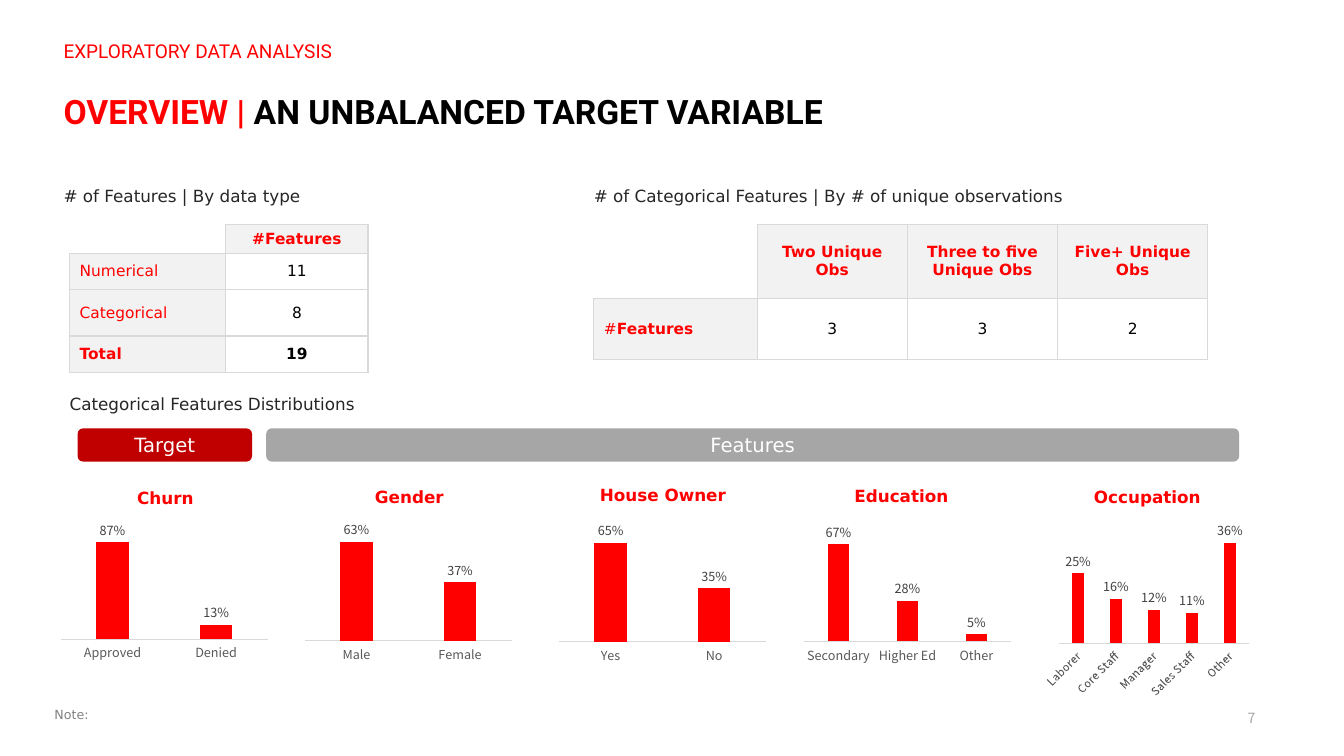
from dataclasses import dataclass

from lxml import etree
from pptx import Presentation
from pptx.chart.data import CategoryChartData
from pptx.dml.color import RGBColor
from pptx.enum.chart import XL_CHART_TYPE, XL_LABEL_POSITION, XL_TICK_LABEL_POSITION, XL_TICK_MARK
from pptx.enum.shapes import MSO_SHAPE
from pptx.enum.text import MSO_ANCHOR, PP_ALIGN
from pptx.oxml import parse_xml
from pptx.oxml.ns import nsdecls, qn
from pptx.util import Inches, Pt

LEFT, CENTER, RIGHT = PP_ALIGN.LEFT, PP_ALIGN.CENTER, PP_ALIGN.RIGHT
TOP, MIDDLE, BOTTOM = MSO_ANCHOR.TOP, MSO_ANCHOR.MIDDLE, MSO_ANCHOR.BOTTOM
COLUMNS = XL_CHART_TYPE.COLUMN_CLUSTERED
OUTSIDE_END = XL_LABEL_POSITION.OUTSIDE_END
NO_TICKS = XL_TICK_MARK.NONE
NEXT_TO_AXIS = XL_TICK_LABEL_POSITION.NEXT_TO_AXIS
ROUNDED = MSO_SHAPE.ROUNDED_RECTANGLE


@dataclass(frozen=True)
class Theme:
    red: str = "FF0000"
    dark_red: str = "C00000"
    black: str = "000000"
    white: str = "FFFFFF"
    ink: str = "262626"
    label: str = "404040"
    axis: str = "595959"
    note: str = "808080"
    gray: str = "A6A6A6"
    rule: str = "D9D9D9"
    shade: str = "F2F2F2"
    heading_font: str = "Roboto"
    body_font: str = "DejaVu Sans"
    chart_font: str = "Noto Sans CJK JP"
    title: float = 24
    section: float = 13.6
    banner: float = 14
    caption: float = 12
    table: float = 11
    page: float = 10
    small: float = 9
    tiny: float = 8


theme = Theme()


def write(frame, text, size=theme.caption, color=theme.ink, font=theme.body_font, bold=False,
          align=LEFT, anchor=TOP, spacing=None, insets=None):
    frame.word_wrap = True
    frame.vertical_anchor = anchor
    if insets:
        frame.margin_left, frame.margin_top, frame.margin_right, frame.margin_bottom = map(Inches, insets)
    paragraph = frame.paragraphs[0]
    paragraph.alignment = align
    if spacing:
        paragraph.line_spacing = spacing
    run = paragraph.add_run()
    run.text = text
    run.font.size = Pt(size)
    run.font.name = font
    run.font.bold = bold
    run.font.color.rgb = RGBColor.from_string(color)


def style_cell(cell, fill, edges):
    properties = cell._tc.get_or_add_tcPr()
    for edge in edges:
        properties.append(parse_xml(
            f'<a:{edge} {nsdecls("a")} w="12700"><a:solidFill><a:srgbClr val="{theme.rule}"/>'
            f'</a:solidFill></a:{edge}>'))
    if fill:
        cell.fill.solid()
        cell.fill.fore_color.rgb = RGBColor.from_string(fill)
    else:
        cell.fill.background()


deck = Presentation()
deck.slide_width, deck.slide_height = Inches(13.33), Inches(7.5)
slide = deck.slides.add_slide(deck.slide_layouts[6])
shapes = slide.shapes

TOP_INSET = (0, 0.05, 0, 0)
BOTTOM_INSET = (0, 0, 0, 0.05)
headline = shapes.add_textbox(Inches(0.63), Inches(0.85), Inches(12.29), Inches(0.99)).text_frame
for part, color in (("OVERVIEW | ", theme.red), ("AN UNBALANCED TARGET VARIABLE", theme.black)):
    write(headline, part, size=theme.title, color=color, font=theme.heading_font, bold=True, insets=TOP_INSET)

captions = [
    ("EXPLORATORY DATA ANALYSIS", 0.63, 0.44, 6.25, 0.19,
     dict(size=theme.section, color=theme.red, font=theme.heading_font, spacing=0.5, insets=TOP_INSET)),
    ("7", 12.12, 7.02, 0.33, 0.19,
     dict(size=theme.page, color=theme.gray, font=theme.chart_font, align=RIGHT, anchor=BOTTOM,
          insets=(0, 0, 0, 0))),
    ("Note:", 0.54, 7.01, 11.58, 0.2, dict(size=theme.small, color=theme.note)),
    ("# of Features | By data type", 0.63, 1.84, 3.18, 0.25, {}),
    ("# of Categorical Features | By # of unique observations", 5.89, 1.84, 6.23, 0.25, {}),
    ("Categorical Features Distributions", 0.69, 3.91, 3.18, 0.25, {}),
]
for text, left, top, width, height, look in captions:
    caption = shapes.add_textbox(Inches(left), Inches(top), Inches(width), Inches(height))
    write(caption.text_frame, text, **{"insets": BOTTOM_INSET, **look})

feature_tables = [
    (0.69, [1.55, 1.41], [0.28, 0.36, 0.46, 0.36],
     [["", "#Features"], ["Numerical", "11"], ["Categorical", "8"], ["Total", "19"]]),
    (5.89, [1.62, 1.49, 1.49, 1.49], [0.73, 0.61],
     [["", "Two Unique Obs", "Three to five Unique Obs", "Five+ Unique Obs"], ["#Features", "3", "3", "2"]]),
]
for left, widths, heights, rows in feature_tables:
    table = shapes.add_table(len(rows), len(widths), Inches(left), Inches(2.23),
                             Inches(sum(widths)), Inches(sum(heights))).table
    table.first_row = table.horz_banding = False
    for column, width in zip(table.columns, widths):
        column.width = Inches(width)
    for r, (row, height) in enumerate(zip(rows, heights)):
        table.rows[r].height = Inches(height)
        for c, value in enumerate(row):
            cell = table.cell(r, c)
            if not value:
                style_cell(cell, None, ("lnR", "lnB"))
                ending = etree.SubElement(cell.text_frame.paragraphs[0]._p, qn("a:endParaRPr"))
                ending.set("sz", str(theme.table * 100))
                continue
            is_header = r == 0 or c == 0
            style_cell(cell, theme.shade if is_header else theme.white, ("lnL", "lnR", "lnT", "lnB"))
            bold = r == 0 or row[0] == "Total"
            pieces = [("#", False), ("Features", True)] if c == 0 and value == "#Features" else [(value, bold)]
            for piece, weight in pieces:
                write(cell.text_frame, piece, size=theme.table, bold=weight,
                      color=theme.red if is_header else theme.black, align=CENTER if c else LEFT)
            cell.vertical_anchor = MIDDLE

for text, left, width, fill in (("Target", 0.77, 1.73, theme.dark_red), ("Features", 2.64, 9.65, theme.gray)):
    banner = shapes.add_shape(ROUNDED, Inches(left), Inches(4.25), Inches(width), Inches(0.33))
    banner.shadow.inherit = False
    banner.fill.solid()
    banner.fill.fore_color.rgb = RGBColor.from_string(fill)
    banner.line.fill.background()
    write(banner.text_frame, text, size=theme.banner, color=theme.white, align=CENTER, anchor=MIDDLE)

PLOT = (0.02, 0.06, 0.96, 0.79)
SLANTED_PLOT = (0.1, 0.05, 0.88, 0.61)
distributions = [
    ("Churn", 1.05, 4.74, 1.18, 0.56, 5.15, 1.41, 1.0, {"Approved": 0.87, "Denied": 0.13}),
    ("Gender", 3.47, 4.73, 1.18, 2.98, 5.16, 1.41, 0.7, {"Male": 0.63, "Female": 0.37}),
    ("House Owner", 5.92, 4.71, 1.31, 5.5, 5.17, 1.41, 0.73, {"Yes": 0.65, "No": 0.35}),
    ("Education", 8.35, 4.72, 1.18, 7.93, 5.17, 1.41, 0.77,
     {"Secondary": 0.67, "Higher Ed": 0.28, "Other": 0.05}),
    ("Occupation", 10.79, 4.73, 1.18, 10.29, 5.17, 1.83, 0.4,
     {"Laborer": 0.25, "Core Staff": 0.16, "Manager": 0.12, "Sales Staff": 0.11, "Other": 0.36}),
]
for name, name_left, name_top, name_width, left, top, height, ceiling, shares in distributions:
    heading = shapes.add_textbox(Inches(name_left), Inches(name_top), Inches(name_width), Inches(0.31))
    write(heading.text_frame, name, color=theme.red, bold=True, align=CENTER, spacing=1.5, insets=BOTTOM_INSET)

    slanted = name == "Occupation"
    data = CategoryChartData(number_format="0%")
    data.categories = list(shares)
    data.add_series("Series 1", list(shares.values()))
    chart = shapes.add_chart(COLUMNS, Inches(left), Inches(top), Inches(2.14), Inches(height), data).chart
    chart.has_legend = chart.has_title = False

    plot = chart.plots[0]
    plot.gap_width, plot.overlap, plot.vary_by_categories = 219, -27, False
    bars = plot.series[0].format.fill
    bars.solid()
    bars.fore_color.rgb = RGBColor.from_string(theme.red)
    plot.has_data_labels = True
    labels = plot.data_labels
    labels.show_value, labels.position = True, OUTSIDE_END
    labels.number_format, labels.number_format_is_linked = "0%", False

    share_axis, category_axis = chart.value_axis, chart.category_axis
    share_axis.minimum_scale, share_axis.maximum_scale = 0, ceiling
    share_axis.has_major_gridlines = share_axis.visible = False
    category_axis.major_tick_mark = category_axis.minor_tick_mark = NO_TICKS
    category_axis.tick_label_position = NEXT_TO_AXIS
    category_axis.format.line.width = Pt(0.75)
    category_axis.format.line.color.rgb = RGBColor.from_string(theme.rule)

    for font, size, color in (
        (chart.font, theme.small, theme.black),
        (labels.font, theme.small, theme.label),
        (category_axis.tick_labels.font, theme.tiny if slanted else theme.small, theme.axis),
    ):
        font.size, font.name, font.bold = Pt(size), theme.chart_font, False
        font.color.rgb = RGBColor.from_string(color)
    if slanted:
        category_axis._element.find(qn("c:txPr")).find(qn("a:bodyPr")).set("rot", "-2700000")

    plot_area = chart._chartSpace.chart.plotArea
    for old_layout in plot_area.findall(qn("c:layout")):
        plot_area.remove(old_layout)
    x, y, w, h = SLANTED_PLOT if slanted else PLOT
    plot_area.insert(0, parse_xml(
        f'<c:layout {nsdecls("c")}><c:manualLayout><c:layoutTarget val="inner"/>'
        f'<c:xMode val="edge"/><c:yMode val="edge"/><c:x val="{x}"/><c:y val="{y}"/>'
        f'<c:w val="{w}"/><c:h val="{h}"/></c:manualLayout></c:layout>'))

deck.save("out.pptx")
